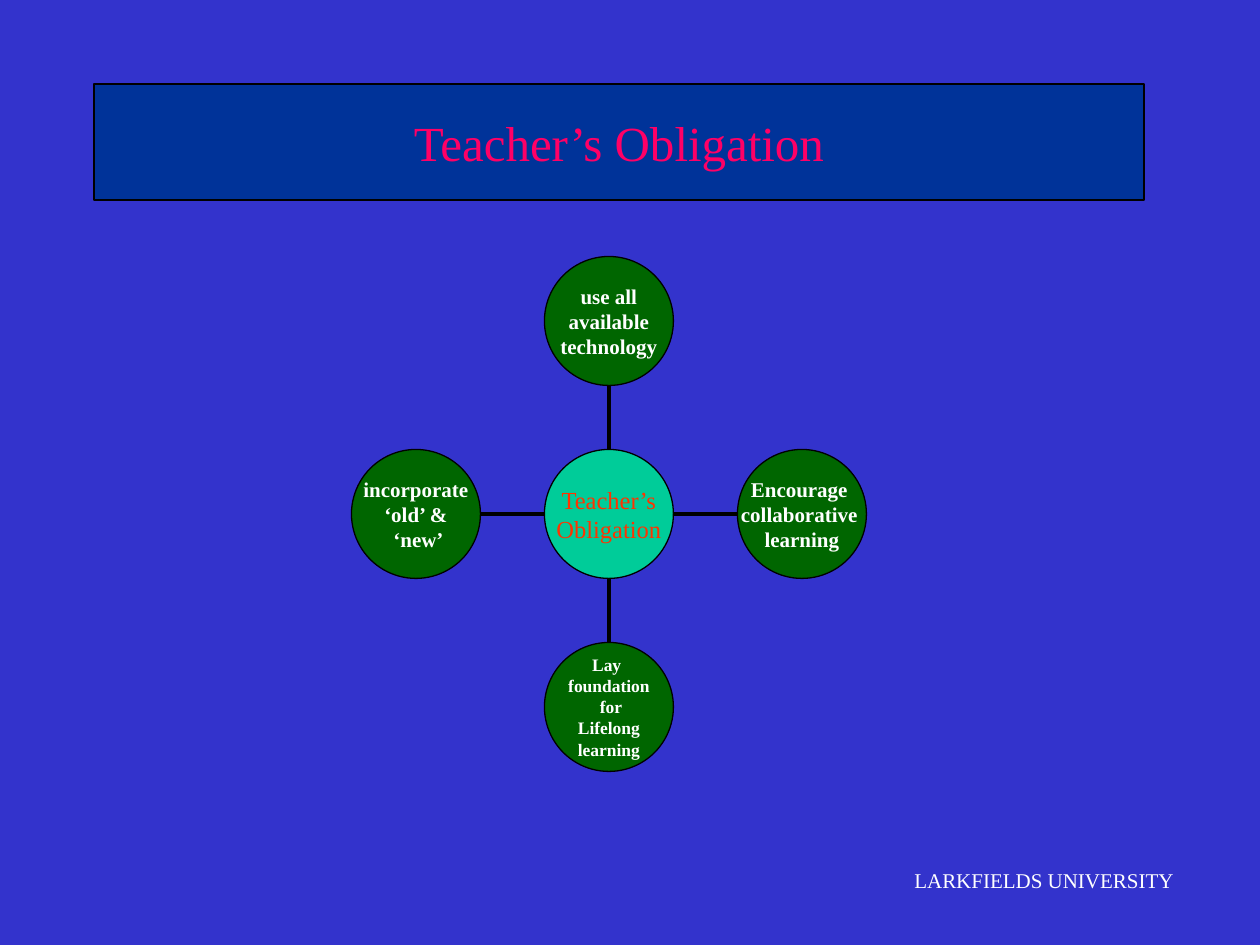
"""Build the Teacher's Obligation slide: a hub circle with four duties around it."""
import pptx
import pptx.dml.color
import pptx.enum.shapes
import pptx.enum.text
import pptx.oxml
import pptx.oxml.ns
import pptx.util

RGB = pptx.dml.color.RGBColor
BLUE = RGB(0x33, 0x33, 0xCC)
NAVY = RGB(0x00, 0x33, 0x99)
PINK = RGB(0xFF, 0x00, 0x66)
GREEN = RGB(0x00, 0x66, 0x00)
TEAL = RGB(0x00, 0xCC, 0x99)
ORANGE = RGB(0xFF, 0x33, 0x00)
WHITE = RGB(0xFF, 0xFF, 0xFF)
BLACK = RGB(0x00, 0x00, 0x00)

FONT = "Times New Roman"
HUB_X, HUB_Y = 609, 514
DIAMETER = 129
SPACING = 193

DUTIES = [
    ((-1, 0), ["incorporate", "‘old’ &", " ‘new’"], 12),
    ((0, 1), ["Lay ", "foundation", " for", "Lifelong", "learning"], 10),
    ((1, 0), ["Encourage ", "collaborative ", "learning"], 12),
    ((0, -1), ["use all", "available", "technology"], 12),
]


def px(*lengths):
    return [pptx.util.Emu(round(length * 914400 / 126)) for length in lengths]


def write(shape, lines, size, color, bold=False, wrap=False, centred=True):
    frame = shape.text_frame
    margin_x, margin_y = pptx.util.Inches(0.1), pptx.util.Inches(0.05)
    frame_format = {
        "margin_left": margin_x, "margin_right": margin_x,
        "margin_top": margin_y, "margin_bottom": margin_y,
        "word_wrap": wrap, "auto_size": pptx.enum.text.MSO_AUTO_SIZE.NONE,
        "vertical_anchor": pptx.enum.text.MSO_ANCHOR.MIDDLE,
    }
    for name, value in frame_format.items():
        setattr(frame, name, value)
    frame.text = "\n".join(lines)
    align = pptx.enum.text.PP_ALIGN
    for paragraph in frame.paragraphs:
        paragraph.alignment = align.CENTER if centred else align.LEFT
        font = paragraph.runs[0].font
        font_format = {"name": FONT, "size": pptx.util.Pt(size), "bold": bold}
        for name, value in font_format.items():
            setattr(font, name, value)
        font.color.rgb = color


def paint(shape, fill):
    shape.fill.solid()
    shape.fill.fore_color.rgb = fill
    shape.line.color.rgb = BLACK
    shape.line.width = pptx.util.Pt(0.75)


def add_title(slide):
    title = slide.shapes.title
    title.left, title.top, title.width, title.height = px(94, 84, 1050, 116)
    paint(title, NAVY)
    write(title, ["Teacher’s Obligation"], 28, PINK, wrap=True)


def add_circle(slide, x, y, fill, lines, size, color, bold=False):
    corner = px(x - DIAMETER / 2, y - DIAMETER / 2, DIAMETER, DIAMETER)
    circle = slide.shapes.add_shape(pptx.enum.shapes.MSO_SHAPE.OVAL, *corner)
    circle.shadow.inherit = False
    paint(circle, fill)
    write(circle, lines, size, color, bold)


def add_spoke(slide, dx, dy):
    near, far = DIAMETER / 2, SPACING - DIAMETER / 2
    spoke = slide.shapes.add_connector(
        pptx.enum.shapes.MSO_CONNECTOR.STRAIGHT,
        *px(HUB_X + dx * near, HUB_Y + dy * near, HUB_X + dx * far, HUB_Y + dy * far))
    spoke.line.color.rgb = BLACK
    spoke.line.width = pptx.util.Pt(2.25)
    properties = spoke._element.spPr
    properties.append(pptx.oxml.parse_xml(
        f"<a:effectLst {pptx.oxml.ns.nsdecls('a')}/>"))


def add_footer(slide):
    footer = slide.shapes.add_textbox(*px(902, 861, 292, 38))
    write(footer, ["LARKFIELDS UNIVERSITY"], 12, WHITE, centred=False)


def main():
    deck = pptx.Presentation()
    deck.slide_width, deck.slide_height = px(1260, 945)
    slide = deck.slides.add_slide(deck.slide_layouts.get_by_name("Title Only"))
    slide.background.fill.solid()
    slide.background.fill.fore_color.rgb = BLUE

    add_footer(slide)
    add_title(slide)
    for (dx, dy), lines, size in DUTIES:
        add_spoke(slide, dx, dy)
        add_circle(slide, HUB_X + dx * SPACING, HUB_Y + dy * SPACING,
                   GREEN, lines, size, WHITE, bold=True)
    add_circle(slide, HUB_X, HUB_Y, TEAL, ["Teacher’s", "Obligation"], 14, ORANGE)
    deck.save("out.pptx")


if __name__ == "__main__":
    main()
